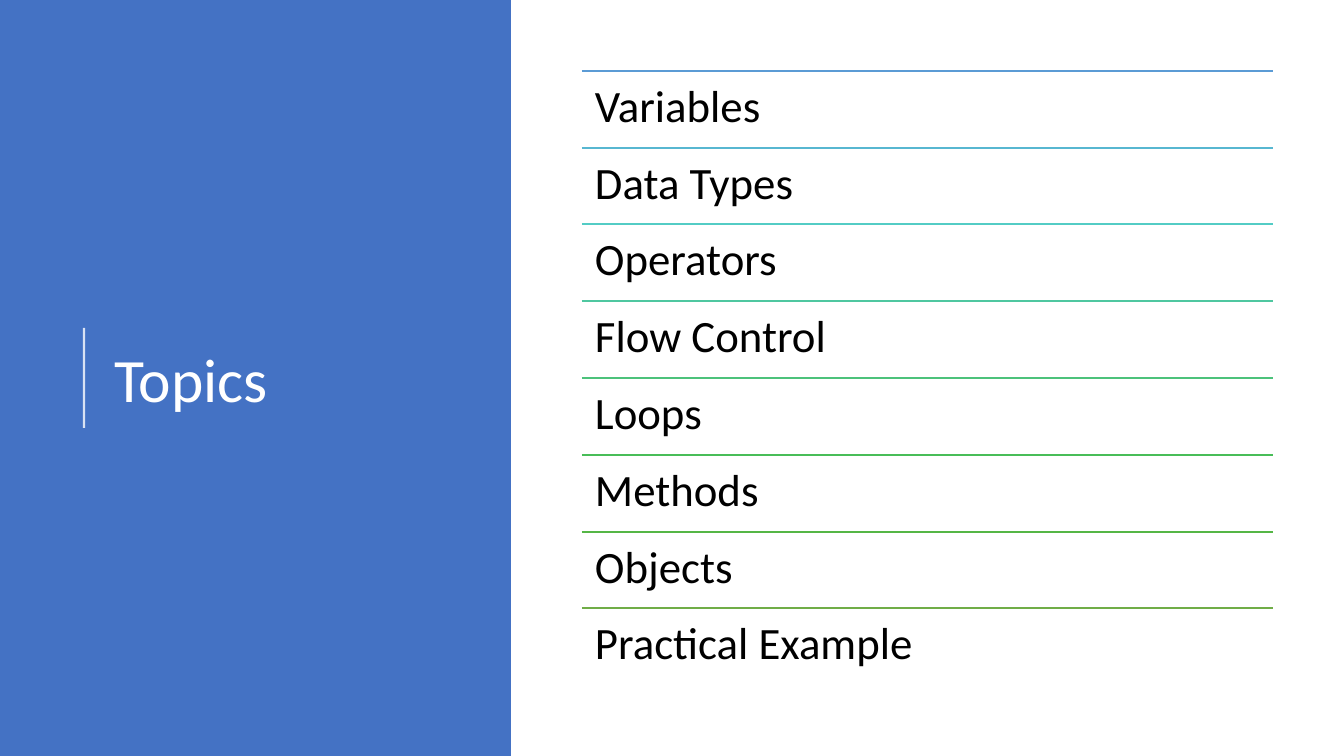
from dataclasses import dataclass

from lxml import etree
from pptx import Presentation
from pptx.dml.color import RGBColor
from pptx.enum.shapes import MSO_CONNECTOR, MSO_SHAPE
from pptx.enum.text import MSO_ANCHOR, MSO_AUTO_SIZE, PP_ALIGN
from pptx.oxml.ns import qn
from pptx.shapes.connector import Connector
from pptx.text.text import TextFrame
from pptx.util import Emu, Pt

RECTANGLE = MSO_SHAPE.RECTANGLE
STRAIGHT = MSO_CONNECTOR.STRAIGHT
TOP, MIDDLE = MSO_ANCHOR.TOP, MSO_ANCHOR.MIDDLE
LEFT = PP_ALIGN.LEFT
NO_AUTOFIT = MSO_AUTO_SIZE.NONE

WHITE = RGBColor(0xFF, 0xFF, 0xFF)
BLACK = RGBColor(0x00, 0x00, 0x00)
PANEL_BLUE = RGBColor(0x44, 0x72, 0xC4)

SLIDE_WIDTH, SLIDE_HEIGHT = 1344, 756
EMU_PER_PIXEL = 12192000 / SLIDE_WIDTH
TITLE_ONLY_LAYOUT = 5
FONT = "Calibri"

LIST_LEFT, LIST_TOP, LIST_WIDTH, LIST_HEIGHT = 582, 71, 691, 614
ROW_INSET = 13


@dataclass(frozen=True)
class Topic:
    text: str
    rule_color: RGBColor


TOPICS = [
    Topic("Variables", RGBColor(0x5B, 0x9B, 0xD5)),
    Topic("Data Types", RGBColor(0x57, 0xB7, 0xD1)),
    Topic("Operators", RGBColor(0x53, 0xCC, 0xC5)),
    Topic("Flow Control", RGBColor(0x4F, 0xC7, 0xA0)),
    Topic("Loops", RGBColor(0x4C, 0xC2, 0x7B)),
    Topic("Methods", RGBColor(0x48, 0xBD, 0x58)),
    Topic("Objects", RGBColor(0x55, 0xB6, 0x46)),
    Topic("Practical Example", RGBColor(0x70, 0xAD, 0x47)),
]


def px(pixels: int) -> Emu:
    return Emu(round(pixels * EMU_PER_PIXEL))


def box(left: int, top: int, width: int, height: int) -> tuple[Emu, ...]:
    return px(left), px(top), px(width), px(height)


def write_text(frame: TextFrame, text: str, *, size: int, color: RGBColor,
               anchor: MSO_ANCHOR, inset_x: int, inset_y: int) -> None:
    frame.word_wrap = True
    frame.auto_size = NO_AUTOFIT
    frame.vertical_anchor = anchor
    frame.margin_left = frame.margin_right = px(inset_x)
    frame.margin_top = frame.margin_bottom = px(inset_y)
    paragraph = frame.paragraphs[0]
    paragraph.alignment = LEFT
    paragraph.line_spacing = 0.9
    run = paragraph.add_run()
    run.text = text
    run.font.name = FONT
    run.font.size = Pt(size)
    run.font.color.rgb = color


def draw_line(shapes, start: tuple[int, int], end: tuple[int, int],
              color: RGBColor, width: float) -> Connector:
    line = shapes.add_connector(STRAIGHT, *map(px, start + end))
    line.line.color.rgb = color
    line.line.width = Pt(width)
    etree.SubElement(line._element.spPr, qn("a:effectLst"))
    return line


def set_line_opacity(line: Connector, percent: int) -> None:
    color = line._element.spPr.find(".//" + qn("a:srgbClr"))
    etree.SubElement(color, qn("a:alpha"), val=str(percent * 1000))


def draw_topic(shapes, topic: Topic, top: int, height: int) -> None:
    draw_line(shapes, (LIST_LEFT, top), (LIST_LEFT + LIST_WIDTH, top),
              topic.rule_color, 1)
    row = shapes.add_textbox(*box(LIST_LEFT, top, LIST_WIDTH, height))
    write_text(row.text_frame, topic.text, size=32, color=BLACK, anchor=TOP,
               inset_x=ROW_INSET, inset_y=ROW_INSET)


presentation = Presentation()
presentation.slide_width = px(SLIDE_WIDTH)
presentation.slide_height = px(SLIDE_HEIGHT)
slide = presentation.slides.add_slide(
    presentation.slide_layouts[TITLE_ONLY_LAYOUT])

panel = slide.shapes.add_shape(RECTANGLE, *box(0, 0, 511, SLIDE_HEIGHT))
panel.shadow.inherit = False
panel.fill.solid()
panel.fill.fore_color.rgb = PANEL_BLUE
panel.line.fill.background()

title = slide.shapes.title
title.left, title.top, title.width, title.height = box(104, 79, 383, 607)
write_text(title.text_frame, "Topics", size=44, color=WHITE, anchor=MIDDLE,
           inset_x=10, inset_y=5)
panel._element.addnext(title._element)

divider = draw_line(slide.shapes, (84, 428), (84, 328), WHITE, 1.5)
set_line_opacity(divider, 80)

topic_list = slide.shapes.add_group_shape()
row_height = LIST_HEIGHT / len(TOPICS)
for index, topic in enumerate(TOPICS):
    draw_topic(topic_list.shapes, topic,
               round(LIST_TOP + index * row_height), round(row_height))

presentation.save("out.pptx")
